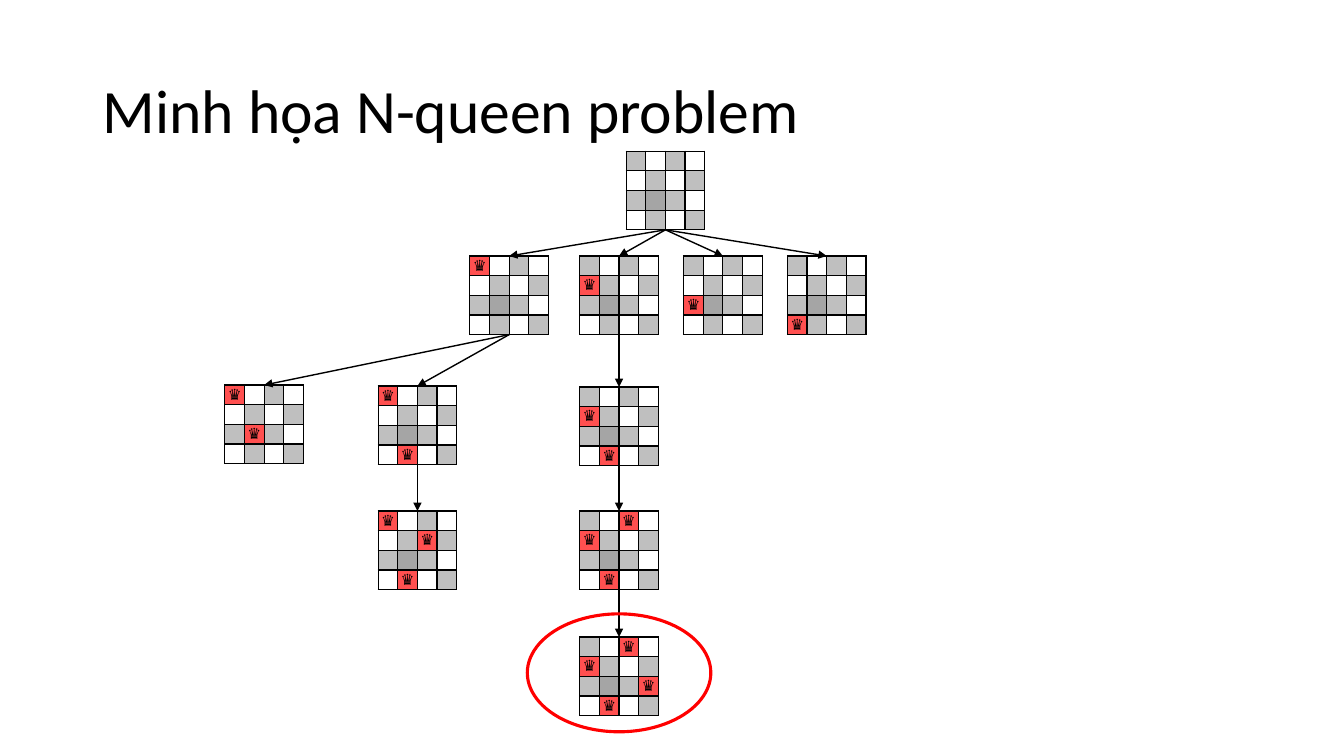
import pptx
import pptx.util
import pptx.dml.color
import pptx.enum.shapes
import pptx.enum.text
import pptx.oxml.ns
import lxml.etree

Inches = pptx.util.Inches
Pt = pptx.util.Pt
qn = pptx.oxml.ns.qn
BOARD = 0.78
SIZE = 4
WHITE, GREY, DARK_GREY, RED, BLACK = "FFFFFF", "BFBFBF", "A5A5A5", "FF5050", "000000"


def paint(color_format, color):
    """Set a fill, line or font colour from a hex string."""
    color_format.rgb = pptx.dml.color.RGBColor.from_string(color)


def add_text(paragraph, text, size):
    """Add one black Calibri run to a paragraph."""
    run = paragraph.add_run()
    run.text = text
    run.font.name = "Calibri"
    run.font.size = Pt(size)
    paint(run.font.color, BLACK)


presentation = pptx.Presentation()
presentation.slide_width = Inches(13.33)
presentation.slide_height = Inches(7.5)
slide = presentation.slides.add_slide(presentation.slide_layouts[6])

title = slide.shapes.add_textbox(Inches(0.92), Inches(0.4), Inches(11.5), Inches(1.45))
title.text_frame.word_wrap = True
title.text_frame.vertical_anchor = pptx.enum.text.MSO_ANCHOR.MIDDLE
title.text_frame.paragraphs[0].line_spacing = 0.9
add_text(title.text_frame.paragraphs[0], "Minh họa N-queen problem", 44)

# name: (left, top, queens as (row, column), parent board)
boards = {
    "start": (6.21, 1.5, [], None),
    "row 0": (4.66, 2.54, [(0, 0)], "start"),
    "row 1": (5.75, 2.54, [(1, 0)], "start"),
    "row 2": (6.78, 2.54, [(2, 0)], "start"),
    "row 3": (7.81, 2.54, [(3, 0)], "start"),
    "rows 0-2": (2.23, 3.82, [(0, 0), (2, 1)], "row 0"),
    "rows 0-3": (3.75, 3.83, [(0, 0), (3, 1)], "row 0"),
    "rows 0-3-1": (3.75, 5.07, [(0, 0), (3, 1), (1, 2)], "rows 0-3"),
    "rows 1-3": (5.75, 3.84, [(1, 0), (3, 1)], "row 1"),
    "rows 1-3-0": (5.75, 5.07, [(1, 0), (3, 1), (0, 2)], "rows 1-3"),
    "solution": (5.75, 6.32, [(1, 0), (3, 1), (0, 2), (2, 3)], "rows 1-3-0"),
}

for left, top, queens, parent in boards.values():
    table = slide.shapes.add_table(
        SIZE, SIZE, Inches(left), Inches(top), Inches(BOARD), Inches(BOARD)).table
    table.first_row = table.horz_banding = False
    for row in range(SIZE):
        for column in range(SIZE):
            cell = table.cell(row, column)
            cell.margin_left = cell.margin_right = 0
            cell.margin_top = cell.margin_bottom = 0
            cell.vertical_anchor = pptx.enum.text.MSO_ANCHOR.MIDDLE
            for side in ("a:lnL", "a:lnR", "a:lnT", "a:lnB"):
                border = lxml.etree.SubElement(
                    cell._tc.get_or_add_tcPr(), qn(side), w=str(Pt(1)))
                border_fill = lxml.etree.SubElement(border, qn("a:solidFill"))
                lxml.etree.SubElement(border_fill, qn("a:srgbClr"), val=BLACK)

            paragraph = cell.text_frame.paragraphs[0]
            paragraph.alignment = pptx.enum.text.PP_ALIGN.CENTER
            if (row, column) in queens:
                color = RED
                add_text(paragraph, "♛", 11)
            else:
                color = WHITE if (row + column) % 2 else GREY
                # Keeps an empty cell from growing taller than its row
                lxml.etree.SubElement(paragraph._p, qn("a:endParaRPr"), sz="1100")
                # Every board has one darker square
                if (row, column) == (2, 1):
                    color = DARK_GREY
            cell.fill.solid()
            paint(cell.fill.fore_color, color)

    if parent:
        parent_left, parent_top = boards[parent][:2]
        arrow = slide.shapes.add_connector(
            pptx.enum.shapes.MSO_CONNECTOR.STRAIGHT,
            Inches(parent_left + BOARD / 2), Inches(parent_top + BOARD),
            Inches(left + BOARD / 2), Inches(top))
        arrow.line.width = Pt(1)
        paint(arrow.line.color, BLACK)
        lxml.etree.SubElement(arrow.line._get_or_add_ln(), qn("a:tailEnd"), type="triangle")
        lxml.etree.SubElement(arrow._element.spPr, qn("a:effectLst"))

highlight = slide.shapes.add_shape(
    pptx.enum.shapes.MSO_SHAPE.OVAL, Inches(5.23), Inches(6.09), Inches(1.82), Inches(1.17))
highlight.shadow.inherit = False
highlight.fill.background()
highlight.line.width = Pt(2.25)
paint(highlight.line.color, "FF0000")

presentation.save("out.pptx")
